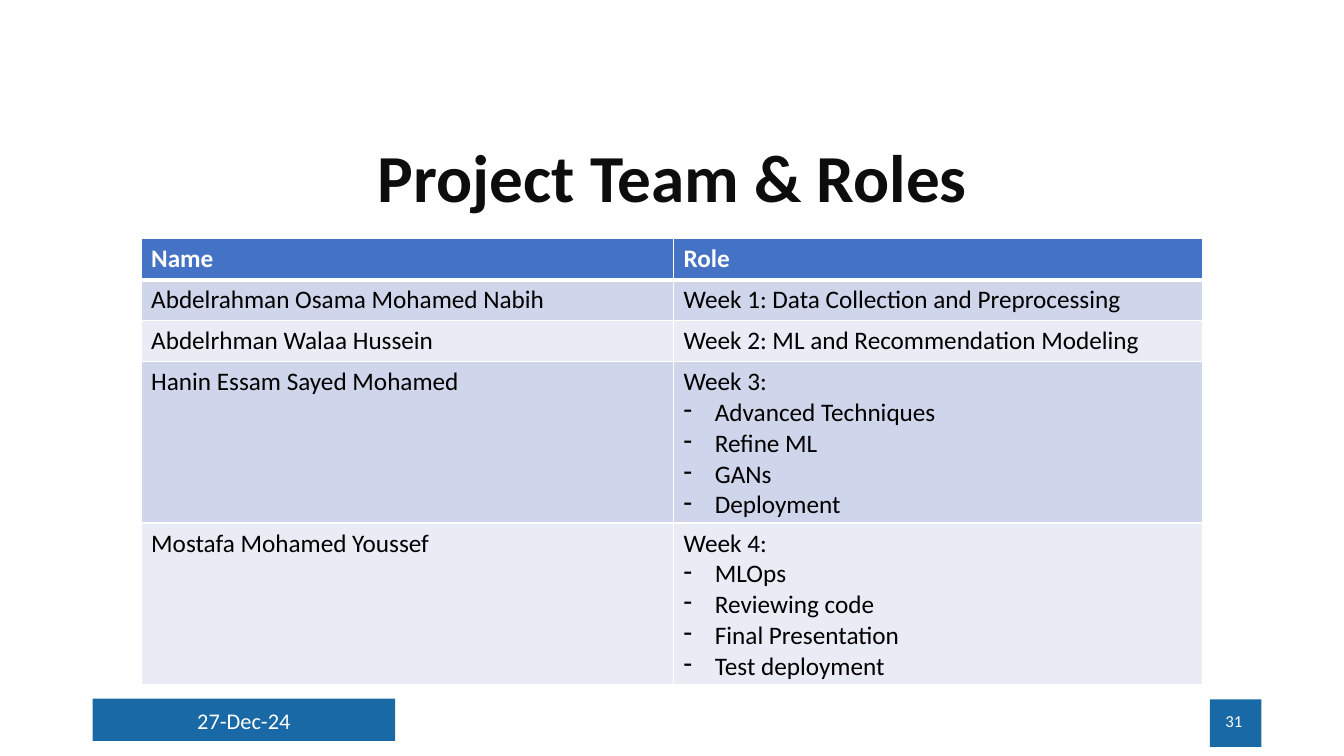
from dataclasses import dataclass

from lxml import etree
from pptx import Presentation
from pptx import util as u
from pptx.dml.color import RGBColor
from pptx.enum import shapes, text
from pptx.oxml import ns

WIDE, HIGH = u.Inches(13.33), u.Inches(7.5)


@dataclass(frozen=True)
class Theme:
    font: str = "Calibri"
    white: str = "FFFFFF"
    black: str = "000000"
    ink: str = "0D0D0D"
    bar: str = "1869A6"
    head: str = "4472C4"
    bands: tuple[str, str] = ("CFD5EA", "E9EBF5")
    title: int = 48
    body: int = 18
    date: int = 16
    page: int = 12


@dataclass(frozen=True)
class Box:
    """A frame in percent of the slide's width and height."""
    left: float
    top: float
    width: float
    height: float

    def frame(self) -> tuple[int, int, int, int]:
        return across(self.left), down(self.top), across(self.width), down(self.height)


@dataclass(frozen=True)
class Label:
    box: Box
    words: str
    size: int
    color: str
    align: text.PP_ALIGN
    bold: bool = False
    space: float = 1.0


@dataclass(frozen=True)
class Member:
    name: str
    role: str
    tasks: tuple[str, ...] = ()


THEME = Theme()
MID, RIGHT = text.PP_ALIGN.CENTER, text.PP_ALIGN.RIGHT

BARS = (Box(6.9, 92.4, 22.5, 5.6), Box(90.02, 92.53, 3.83, 6.27))
LABELS = (
    Label(Box(6.9, 92.67, 22.5, 5.33), "27-Dec-24", THEME.date, THEME.white, MID),
    Label(Box(70.67, 92.67, 22.5, 5.33), "31", THEME.page, THEME.white, RIGHT),
    Label(Box(6.9, 18.4, 86.27, 11.07), "Project Team & Roles", THEME.title,
          THEME.ink, MID, bold=True, space=0.9),
)
TEAM = (
    Member("Abdelrahman Osama Mohamed Nabih", "Week 1: Data Collection and Preprocessing"),
    Member("Abdelrhman Walaa Hussein", "Week 2: ML and Recommendation Modeling"),
    Member("Hanin Essam Sayed Mohamed", "Week 3:",
           ("Advanced Techniques", "Refine ML", "GANs", "Deployment")),
    Member("Mostafa Mohamed Youssef", "Week 4:",
           ("MLOps", "Reviewing code", "Final Presentation", "Test deployment")),
)
GRID = Box(10.5, 31.6, 79, 58.8)
COLS = (39.62, 39.38)
PAD, LINE = 1.45, 3.97


def across(share: float) -> int:
    return round(WIDE * share / 100)


def down(share: float) -> int:
    return round(HIGH * share / 100)


def write(par, words: str, *, size: int, color: str, bold: bool = False,
          align=None, space: float | None = None) -> None:
    par.alignment, par.line_spacing = align, space
    run = par.add_run()
    run.text = words
    font = run.font
    font.name, font.size, font.bold = THEME.font, u.Pt(size), bold
    font.color.rgb = RGBColor.from_string(color)


def bullet(par) -> None:
    """Give the paragraph a hanging dash."""
    props = par._p.get_or_add_pPr()
    props.set("marL", str(u.Inches(0.31)))
    props.set("indent", str(-u.Inches(0.31)))
    etree.SubElement(props, ns.qn("a:buChar")).set("char", "-")


def edge(cell, base: int) -> None:
    """Draw white borders, with the bottom one of the given width in points."""
    props = cell._tc.get_or_add_tcPr()
    for spot, (side, width) in enumerate(zip("LRTB", (1, 1, 1, base))):
        line = etree.Element(ns.qn(f"a:ln{side}"), w=str(u.Pt(width)))
        fill = etree.SubElement(line, ns.qn("a:solidFill"))
        etree.SubElement(fill, ns.qn("a:srgbClr")).set("val", THEME.white)
        props.insert(spot, line)


def draw_bar(slide, box: Box) -> None:
    bar = slide.shapes.add_shape(shapes.MSO_SHAPE.RECTANGLE, *box.frame())
    bar.shadow.inherit = False
    bar.fill.solid()
    bar.fill.fore_color.rgb = RGBColor.from_string(THEME.bar)
    bar.line.fill.background()


def draw_label(slide, label: Label) -> None:
    frame = slide.shapes.add_textbox(*label.box.frame()).text_frame
    frame.word_wrap = True
    frame.vertical_anchor = text.MSO_ANCHOR.MIDDLE
    write(frame.paragraphs[0], label.words, size=label.size, color=label.color,
          bold=label.bold, align=label.align, space=label.space)


def draw_cell(cell, lines: tuple[str, ...], fill: str, head: bool) -> None:
    cell.fill.solid()
    cell.fill.fore_color.rgb = RGBColor.from_string(fill)
    edge(cell, 3 if head else 1)
    frame = cell.text_frame
    for spot, words in enumerate(lines):
        par = frame.add_paragraph() if spot else frame.paragraphs[0]
        write(par, words, size=THEME.body, bold=head,
              color=THEME.white if head else THEME.black)
        if spot:
            bullet(par)


def draw_team(slide, team: tuple[Member, ...]) -> None:
    rows = (Member("Name", "Role"), *team)
    table = slide.shapes.add_table(len(rows), len(COLS), *GRID.frame()).table
    for col, share in zip(table.columns, COLS):
        col.width = across(share)
    for num, row in enumerate(rows):
        head = num == 0
        fill = THEME.head if head else THEME.bands[(num - 1) % 2]
        table.rows[num].height = down(PAD + LINE * (1 + len(row.tasks)))
        draw_cell(table.cell(num, 0), (row.name,), fill, head)
        draw_cell(table.cell(num, 1), (row.role, *row.tasks), fill, head)


def main() -> None:
    deck = Presentation()
    deck.slide_width, deck.slide_height = WIDE, HIGH
    slide = deck.slides.add_slide(deck.slide_layouts[6])
    for box in BARS:
        draw_bar(slide, box)
    for label in LABELS:
        draw_label(slide, label)
    draw_team(slide, TEAM)
    deck.save("out.pptx")


if __name__ == "__main__":
    main()
